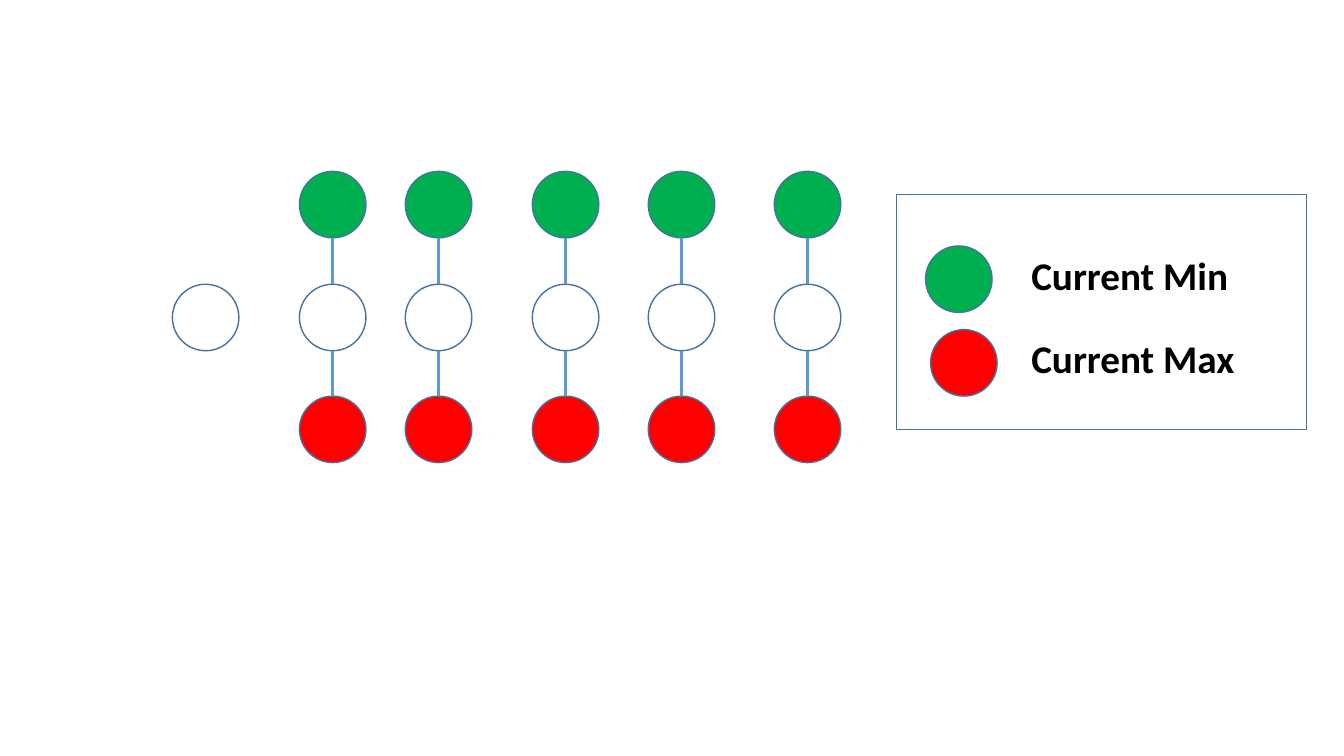
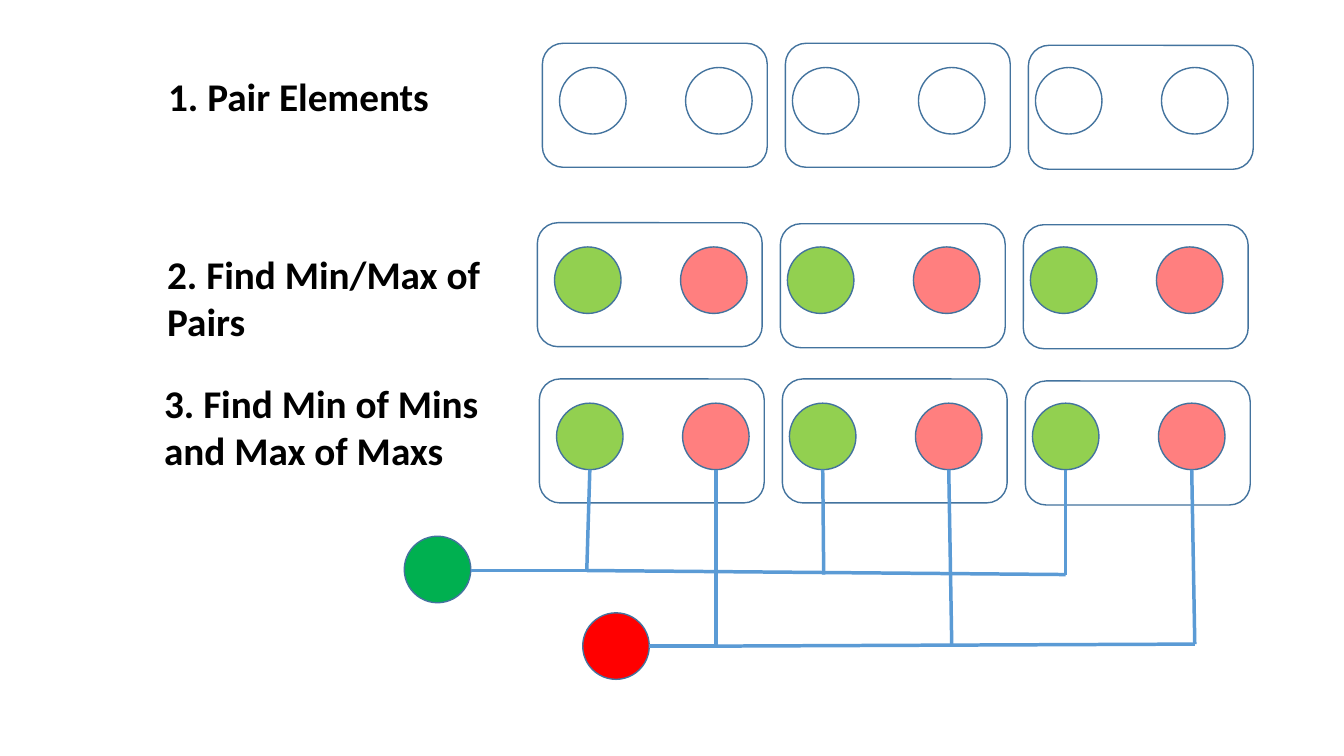
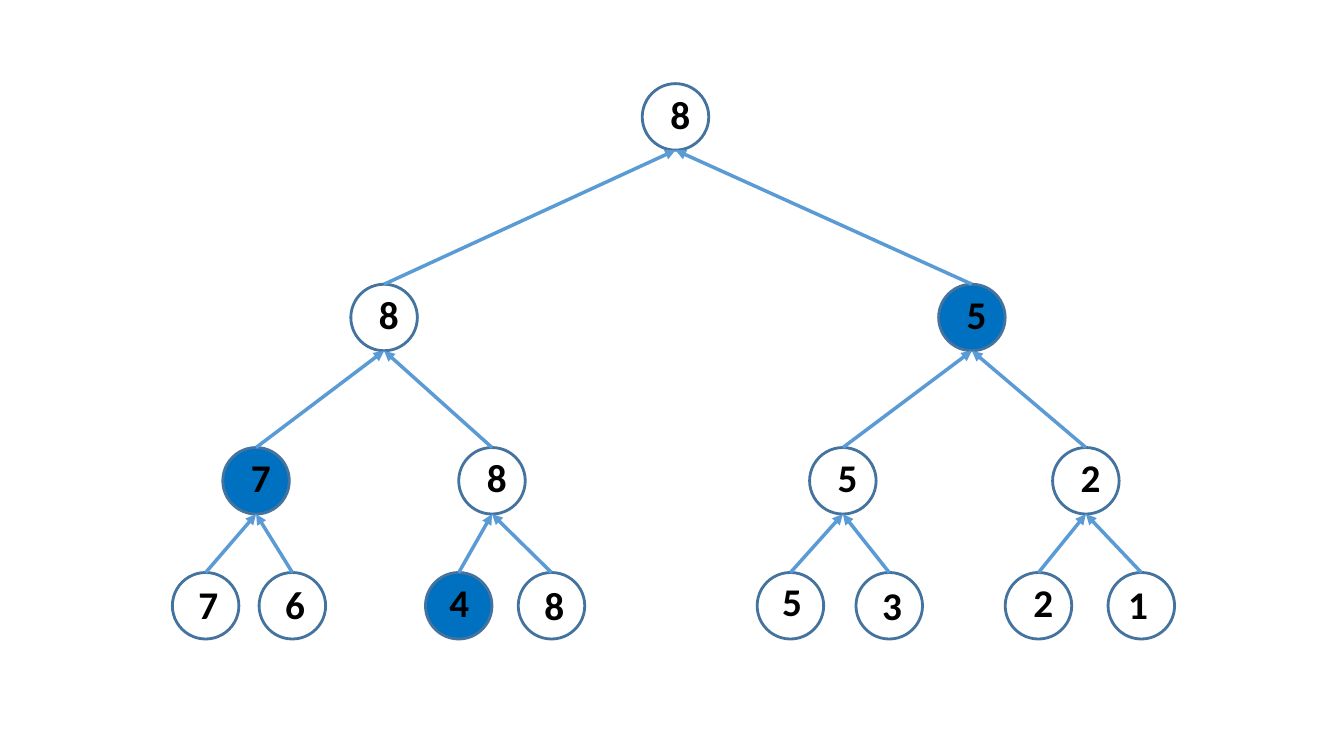
from dataclasses import dataclass
from typing import NamedTuple

from lxml import etree
from pptx import Presentation
from pptx.dml.color import RGBColor
from pptx.enum.shapes import MSO_CONNECTOR, MSO_SHAPE
from pptx.enum.text import MSO_AUTO_SIZE
from pptx.oxml.ns import qn
from pptx.slide import Slide
from pptx.util import Inches, Pt

OVAL = MSO_SHAPE.OVAL
RECT = MSO_SHAPE.RECTANGLE
ROUND = MSO_SHAPE.ROUNDED_RECTANGLE
LINE = MSO_CONNECTOR.STRAIGHT
GROW = MSO_AUTO_SIZE.SHAPE_TO_FIT_TEXT


@dataclass(frozen=True)
class Theme:
    font: str = "Calibri"
    size: float = 28
    ink: str = "000000"
    edge: str = "43739E"
    link: str = "5B9BD5"
    white: str = "FFFFFF"
    green: str = "00B050"
    lime: str = "92D050"
    red: str = "FF0000"
    blue: str = "0070C0"
    thin: float = 1
    bold: float = 2
    wire: float = 2.5
    dot: float = 0.66


class Point(NamedTuple):
    x: float
    y: float


class Box(NamedTuple):
    x: float
    y: float
    w: float
    h: float


class Step(NamedTuple):
    text: str
    label: Box
    start: Point
    low: str
    high: str
    alpha: int
    drops: tuple[float, float, float]


class Node(NamedTuple):
    text: str
    at: Point
    fill: str
    nudge: Point = Point(0.18, 0.01)


THEME = Theme()
HALF = THEME.dot / 2


def draw_shape(slide: Slide, kind: int, box: Box, fill: str = "",
               width: float = THEME.thin, alpha: int = 100) -> None:
    shape = slide.shapes.add_shape(kind, *map(Inches, box))
    shape.shadow.inherit = False
    shape.line.color.rgb = RGBColor.from_string(THEME.edge)
    shape.line.width = Pt(width)
    if not fill:
        shape.fill.background()
        return
    shape.fill.solid()
    shape.fill.fore_color.rgb = RGBColor.from_string(fill)
    if alpha < 100:
        color = shape.element.spPr.find(qn("a:solidFill")).find(qn("a:srgbClr"))
        etree.SubElement(color, qn("a:alpha"), val=str(alpha * 1000))


def draw_dot(slide: Slide, at: Point, fill: str,
             width: float = THEME.thin, alpha: int = 100) -> None:
    draw_shape(slide, OVAL, Box(*at, THEME.dot, THEME.dot), fill, width, alpha)


def draw_line(slide: Slide, start: Point, end: Point, arrow: bool = False) -> None:
    line = slide.shapes.add_connector(LINE, *map(Inches, (*start, *end)))
    line.line.color.rgb = RGBColor.from_string(THEME.link)
    line.line.width = Pt(THEME.wire)
    props = line._element.spPr
    if arrow:
        etree.SubElement(props.find(qn("a:ln")), qn("a:tailEnd"), type="triangle")
    etree.SubElement(props, qn("a:effectLst"))


def draw_text(slide: Slide, text: str, box: Box) -> None:
    frame = slide.shapes.add_textbox(*map(Inches, box)).text_frame
    frame.word_wrap = True
    frame.auto_size = GROW
    para = frame.paragraphs[0]
    para.text = text
    para.font.name = THEME.font
    para.font.size = Pt(THEME.size)
    para.font.bold = True
    para.font.color.rgb = RGBColor.from_string(THEME.ink)


def build_scan(slide: Slide) -> None:
    top, mid, low = 1.7, 2.82, 3.93
    draw_dot(slide, Point(1.71, mid), THEME.white)
    for x in (2.97, 4.02, 5.28, 6.43, 7.68):
        for y, fill in ((mid, THEME.white), (top, THEME.green), (low, THEME.red)):
            draw_dot(slide, Point(x, y), fill)
        for y, end in ((top, mid), (mid, low)):
            draw_line(slide, Point(x + HALF, y + THEME.dot), Point(x + HALF, end))
    keys = (("Current Min", Point(9.18, 2.44), THEME.green),
            ("Current Max", Point(9.23, 3.27), THEME.red))
    for text, at, fill in keys:
        draw_dot(slide, at, fill)
        draw_text(slide, text, Box(10.13, at.y, 2.41, 0.57))
    draw_shape(slide, RECT, Box(8.89, 1.93, 4.07, 2.33))


def draw_step(slide: Slide, step: Step) -> None:
    x, y = step.start
    for pair in (0, 2.31, 4.72):
        draw_dot(slide, Point(x + pair, y), step.low)
        draw_dot(slide, Point(x + pair + 1.25, y), step.high, alpha=step.alpha)
    for i, drop in enumerate(step.drops):
        draw_shape(slide, ROUND, Box(x - 0.17 + 2.41 * i, y - 0.24 + drop, 2.23, 1.23))
    draw_text(slide, step.text, step.label)


def build_pairs(slide: Slide) -> None:
    steps = (
        Step("1. Pair Elements", Box(1.57, 0.67, 3.84, 0.57), Point(5.55, 0.67),
             THEME.white, THEME.white, 100, (0, 0, 0.02)),
        Step("2. Find Min/Max of Pairs", Box(1.56, 2.43, 3.84, 1.04), Point(5.5, 2.45),
             THEME.lime, THEME.red, 50, (0, 0.01, 0.02)),
        Step("3. Find Min of Mins and Max of Maxs", Box(1.53, 3.71, 3.84, 1.04),
             Point(5.52, 4), THEME.lime, THEME.red, 50, (0, 0, 0.02)),
    )
    for step in steps:
        draw_step(slide, step)
    base = steps[-1].start.y + THEME.dot
    mins = ((5.85, Point(5.82, 5.66)), (8.16, Point(8.17, 5.7)), (10.57, Point(10.57, 5.7)))
    maxs = ((7.1, Point(7.1, 6.41)), (9.41, Point(9.44, 6.41)), (11.82, Point(11.85, 6.39)))
    for drops, dot, fill in ((mins, Point(4.01, 5.32), THEME.green),
                             (maxs, Point(5.78, 6.08), THEME.red)):
        first, last = drops[0][1], drops[-1][1]
        draw_line(slide, first, last)
        for x, end in drops:
            draw_line(slide, Point(x, base), end)
        draw_dot(slide, dot, fill)
        draw_line(slide, first, Point(dot.x + THEME.dot, first.y))


def build_tree(slide: Slide) -> None:
    white, blue = THEME.white, THEME.blue
    top, upper, lower, leaf = 0.83, 2.82, 4.44, 5.68
    nodes = (
        Node("8", Point(6.37, top), white, Point(0.18, 0.02)),
        Node("8", Point(3.48, upper), white),
        Node("5", Point(9.31, upper), blue),
        Node("7", Point(2.21, lower), blue),
        Node("8", Point(4.55, lower), white),
        Node("5", Point(8.03, lower), white),
        Node("2", Point(10.44, lower), white),
        Node("7", Point(1.71, leaf), white, Point(0.16, 0.03)),
        Node("6", Point(2.57, leaf), white, Point(0.16, 0.03)),
        Node("4", Point(4.22, leaf), blue, Point(0.14, 0.01)),
        Node("8", Point(5.14, leaf), white, Point(0.16, 0.04)),
        Node("5", Point(7.51, leaf), white, Point(0.15, 0)),
        Node("3", Point(8.49, leaf), white, Point(0.16, 0.04)),
        Node("2", Point(9.97, leaf), white, Point(0.18, 0.01)),
        Node("1", Point(10.99, leaf), white, Point(0.1, 0.03)),
    )
    for i, node in enumerate(nodes):
        x, y = node.at
        draw_dot(slide, node.at, node.fill, THEME.bold)
        draw_text(slide, node.text, Box(x + node.nudge.x, y + node.nudge.y, 0.37, 0.57))
        if i:
            head = nodes[(i - 1) // 2].at
            draw_line(slide, Point(x + HALF, y),
                      Point(head.x + HALF, head.y + THEME.dot), arrow=True)


def main() -> None:
    deck = Presentation()
    deck.slide_width, deck.slide_height = Inches(13.33), Inches(7.5)
    blank = deck.slide_layouts[6]
    for build in (build_scan, build_pairs, build_tree):
        build(deck.slides.add_slide(blank))
    deck.save("out.pptx")


main()
